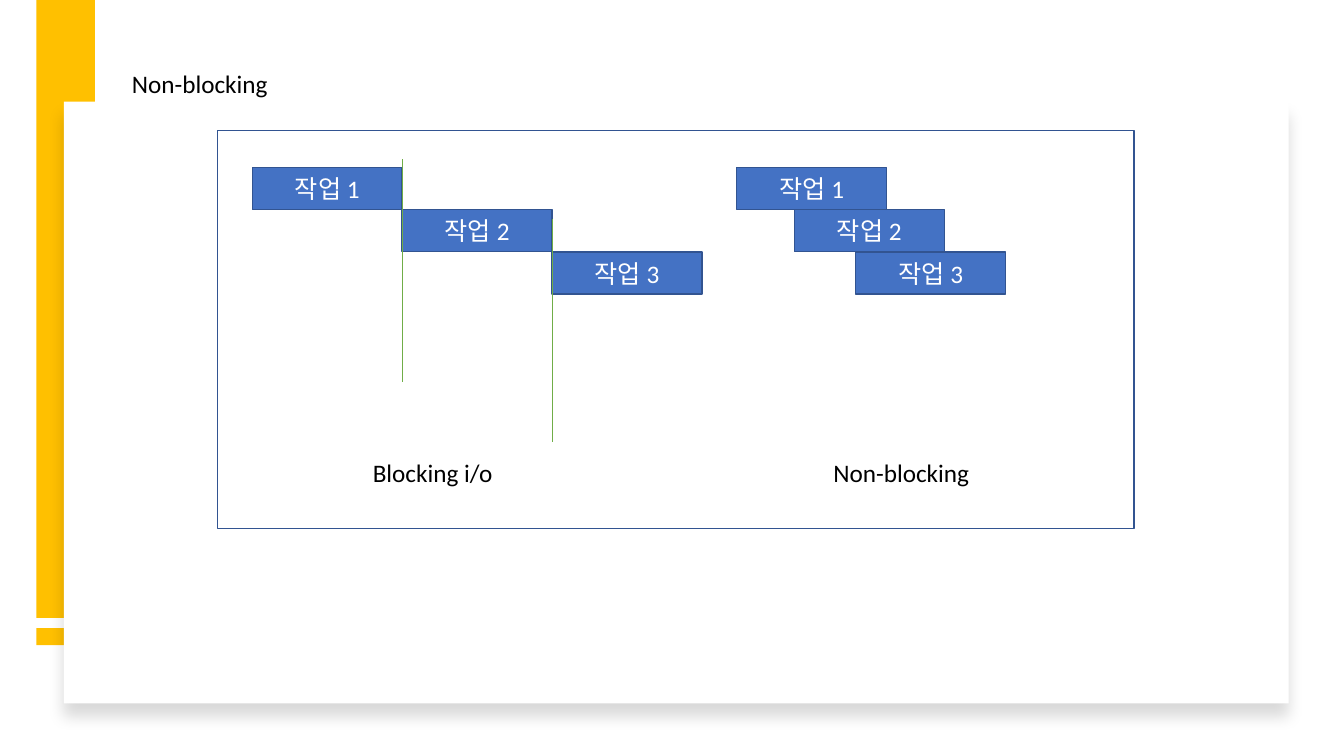
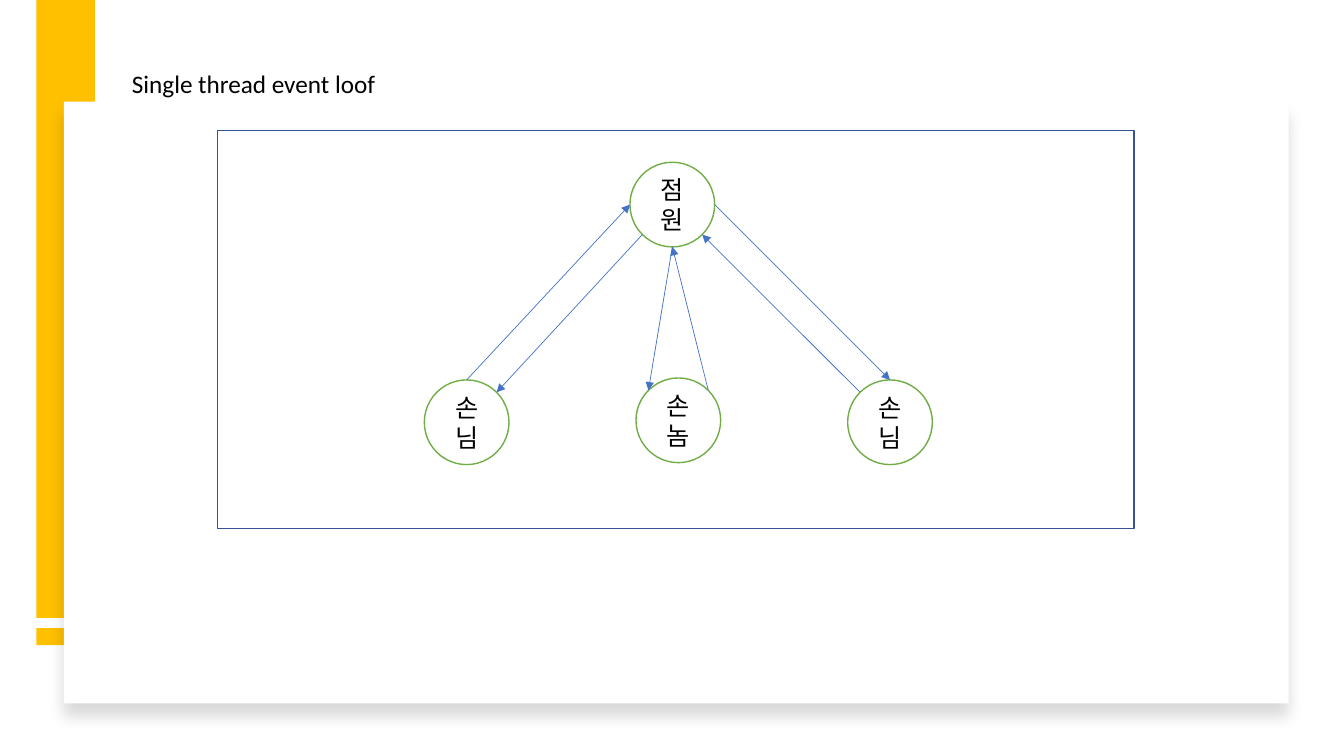
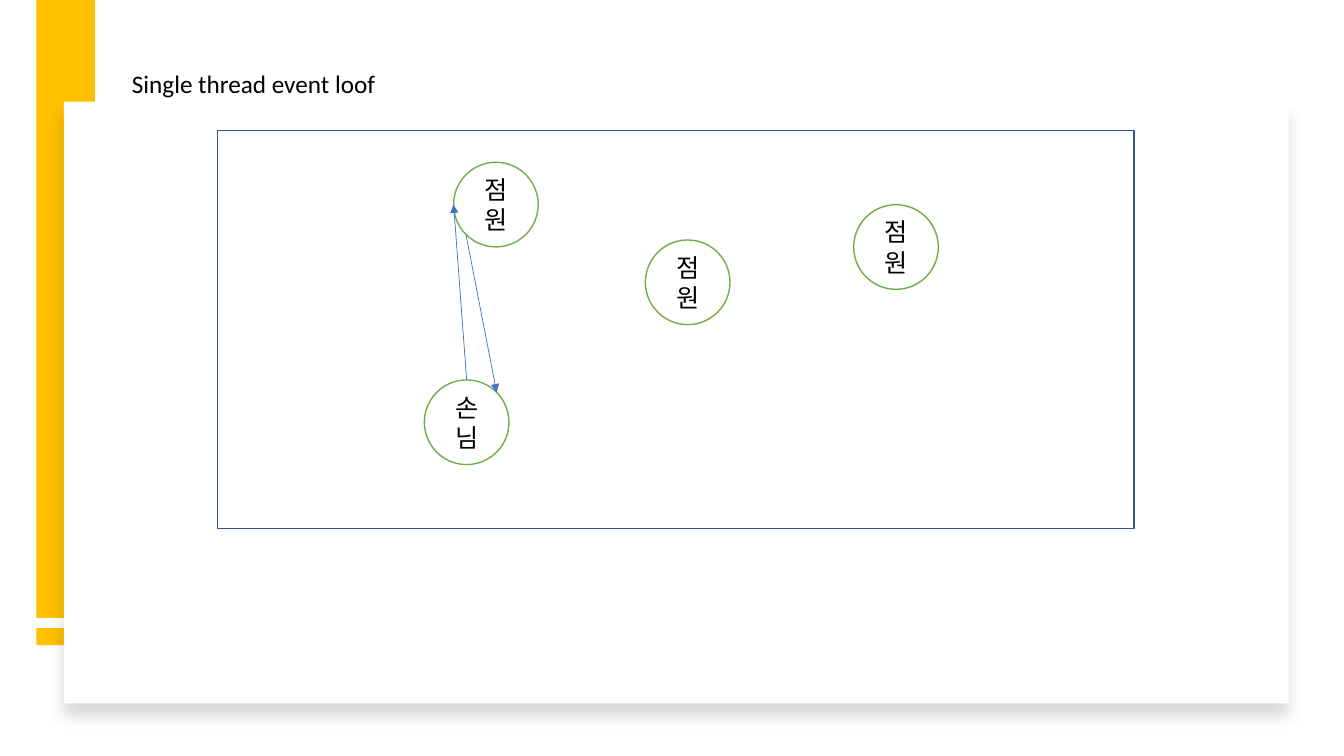
from math import cos, radians, sin

from lxml.etree import SubElement
from pptx import Presentation
from pptx.dml.color import RGBColor
from pptx.enum.shapes import MSO_CONNECTOR as Connector, MSO_SHAPE as Preset
from pptx.enum.text import MSO_ANCHOR as Anchor, MSO_AUTO_SIZE as AutoSize, PP_ALIGN as Align
from pptx.oxml.ns import qn
from pptx.util import Pt

COLOURS = {
    "accent": "FFC000",
    "card": "FFFFFF",
    "shadow": "000000",
    "text": "000000",
    "task": "4472C4",
    "task_text": "FFFFFF",
    "border": "325491",
    "green": "70AD47",
    "arrow": "4472C4",
}
FONT, FONT_SIZE = "Calibri", 18

ACCENT_BARS = [(25.9, 448.6, 41.8, 12.2), (25.9, 0, 41.8, 441.4)]
CARD = (45.6, 72.6, 874.8, 429.8)
FRAME = (155.6, 93.4, 654.4, 284.2)
TITLE_LEFT, TITLE_TOP, LABEL_HEIGHT = 87.1, 45.4, 29.1

TASKS = ["작업 1", "작업 2", "작업 3"]
TASK_TOP, TASK_WIDTH, TASK_HEIGHT = 119.5, 107.1, 30.2
BLOCKING_LEFT = 180.2
NON_BLOCKING_LEFTS = [526.3, 567.4, 611.3]
DIVIDER_TOPS, DIVIDER_LENGTH = [113.8, 156.4], 159
CAPTIONS = [("Non-blocking ", 588.2, 116.6), ("Blocking i/o ", 259.2, 105.1)]
CAPTION_TOP = 323.3

DIAMETER = 60.5
ANGLES = {"right": 0, "bottom right": 45, "bottom": 90, "bottom left": 135,
          "left": 180, "top left": 225, "top": 270, "top right": 315}

TASK_TITLE = ("Non-blocking ", 116.6)
LOOP_TITLE = ("Single thread event loof", 190.8)
LOOPS = [
    {
        "people": {
            "clerk": ("점원", 450, 115.9),
            "first guest": ("손님", 303.1, 271.4),
            "second guest": ("손놈", 454.3, 270),
            "third guest": ("손님", 605.5, 271.4),
        },
        "arrows": [
            ("first guest", "top", "clerk", "left"),
            ("clerk", "bottom left", "first guest", "top right"),
            ("clerk", "bottom", "second guest", "top left"),
            ("second guest", "top right", "clerk", "bottom"),
            ("third guest", "top left", "clerk", "bottom right"),
            ("clerk", "right", "third guest", "top"),
        ],
    },
    {
        "people": {
            "first clerk": ("점원", 324, 115.9),
            "guest": ("손님", 303.1, 271.4),
            "second clerk": ("점원", 461, 171.4),
            "third clerk": ("점원", 609.8, 146.2),
        },
        "arrows": [
            ("guest", "top", "first clerk", "left"),
            ("first clerk", "bottom left", "guest", "top right"),
        ],
    },
]


def colour(name):
    return RGBColor.from_string(COLOURS[name])


def write(paragraph, text, text_colour):
    run = paragraph.add_run()
    run.text = text
    run.font.name = FONT
    run.font.size = Pt(FONT_SIZE)
    run.font.color.rgb = colour(text_colour)


def add_box(slide, preset, box, fill=None, line=None, text=None, text_colour="text"):
    shape = slide.shapes.add_shape(preset, *map(Pt, box))
    shape.shadow.inherit = False
    if fill:
        shape.fill.solid()
        shape.fill.fore_color.rgb = colour(fill)
    else:
        shape.fill.background()
    if line:
        shape.line.color.rgb = colour(line)
        shape.line.width = Pt(1)
    else:
        shape.line.fill.background()
    if text:
        frame = shape.text_frame
        frame.word_wrap = True
        frame.vertical_anchor = Anchor.MIDDLE
        frame.paragraphs[0].alignment = Align.CENTER
        write(frame.paragraphs[0], text, text_colour)
    return shape


def add_label(slide, text, left, top, width):
    label = slide.shapes.add_textbox(*map(Pt, (left, top, width, LABEL_HEIGHT)))
    label.text_frame.word_wrap = False
    label.text_frame.auto_size = AutoSize.SHAPE_TO_FIT_TEXT
    write(label.text_frame.paragraphs[0], text, "text")


def add_line(slide, start, end, line_colour, arrow=False):
    connector = slide.shapes.add_connector(Connector.STRAIGHT, *map(Pt, start + end))
    connector.line.color.rgb = colour(line_colour)
    connector.line.width = Pt(0.5)
    if arrow:
        SubElement(connector.line._get_or_add_ln(), qn("a:tailEnd"), type="triangle")
    SubElement(connector._element.spPr, qn("a:effectLst"))


def add_card_shadow(card):
    effects = card._element.spPr.find(qn("a:effectLst"))
    shadow = SubElement(effects, qn("a:outerShdw"), blurRad=str(Pt(11)), dist=str(Pt(10)),
                        dir="5400000", algn="t", rotWithShape="0")
    shade = SubElement(shadow, qn("a:srgbClr"), val=COLOURS["shadow"])
    SubElement(shade, qn("a:alpha"), val="15000")


def add_base_slide(presentation, title):
    slide = presentation.slides.add_slide(presentation.slide_layouts[6])
    for bar in ACCENT_BARS:
        add_box(slide, Preset.RECTANGLE, bar, "accent")
    add_card_shadow(add_box(slide, Preset.RECTANGLE, CARD, "card"))
    text, width = title
    add_label(slide, text, TITLE_LEFT, TITLE_TOP, width)
    add_box(slide, Preset.RECTANGLE, FRAME, line="border")
    return slide


def add_tasks(slide, lefts):
    for row, (task, left) in enumerate(zip(TASKS, lefts)):
        box = (left, TASK_TOP + row * TASK_HEIGHT, TASK_WIDTH, TASK_HEIGHT)
        add_box(slide, Preset.RECTANGLE, box, "task", "border", task, "task_text")


def add_task_slide(presentation):
    slide = add_base_slide(presentation, TASK_TITLE)
    blocking_lefts = [BLOCKING_LEFT + i * TASK_WIDTH for i in range(len(TASKS))]
    add_tasks(slide, blocking_lefts)
    for left, top in zip(blocking_lefts[1:], DIVIDER_TOPS):
        add_line(slide, (left, top), (left, top + DIVIDER_LENGTH), "green")
    add_tasks(slide, NON_BLOCKING_LEFTS)
    for text, left, width in CAPTIONS:
        add_label(slide, text, left, CAPTION_TOP, width)


def rim_point(person, side):
    _, left, top = person
    radius, angle = DIAMETER / 2, radians(ANGLES[side])
    return left + radius * (1 + cos(angle)), top + radius * (1 + sin(angle))


def add_loop_slide(presentation, people, arrows):
    slide = add_base_slide(presentation, LOOP_TITLE)
    for text, left, top in people.values():
        add_box(slide, Preset.OVAL, (left, top, DIAMETER, DIAMETER), line="green", text=text)
    for source, source_side, target, target_side in arrows:
        add_line(slide, rim_point(people[source], source_side),
                 rim_point(people[target], target_side), "arrow", arrow=True)


presentation = Presentation()
presentation.slide_width, presentation.slide_height = Pt(960), Pt(540)
add_task_slide(presentation)
for loop in LOOPS:
    add_loop_slide(presentation, **loop)
presentation.save("out.pptx")
